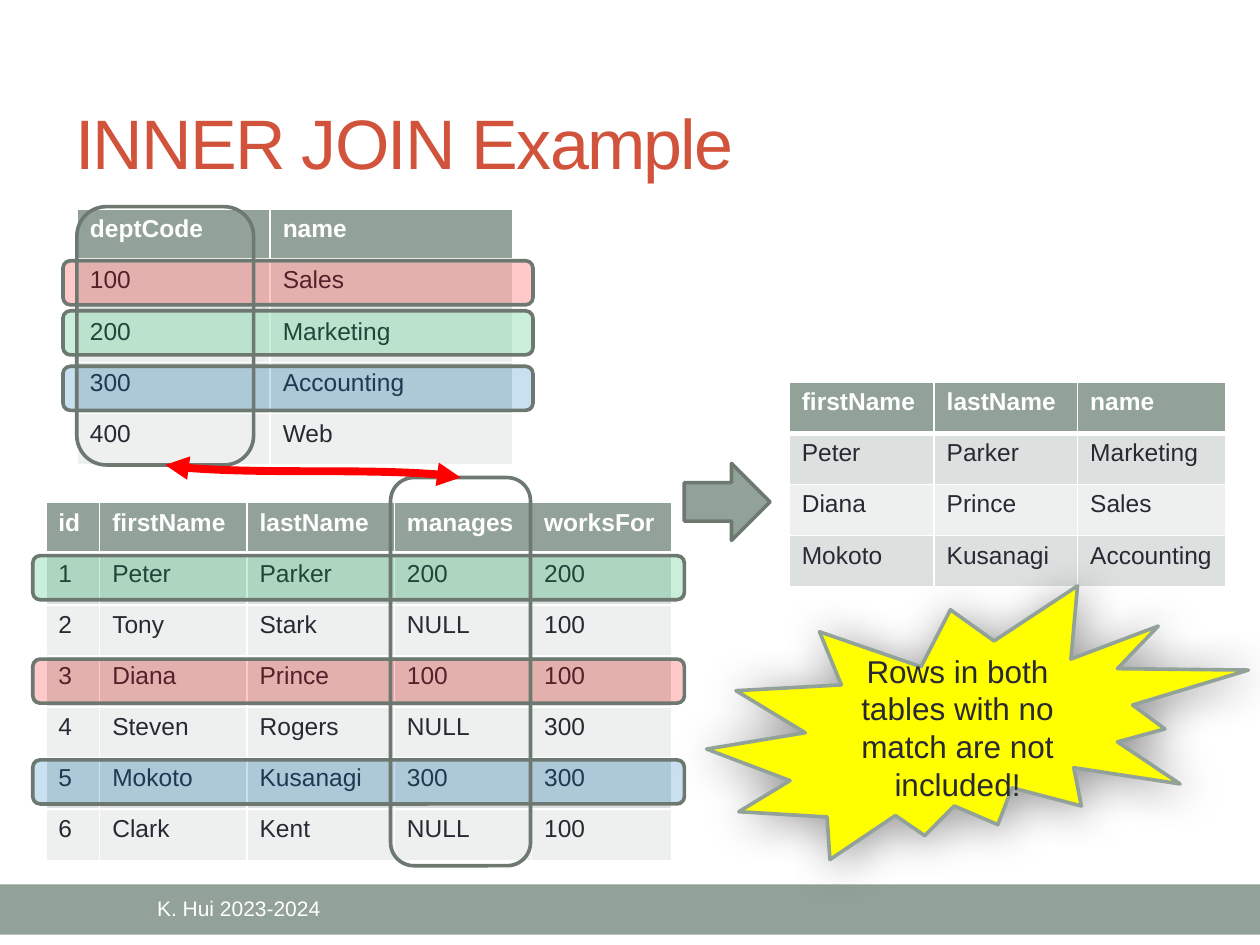
from pptx import Presentation
from pptx.dml.color import RGBColor
from pptx.enum.shapes import MSO_CONNECTOR, MSO_SHAPE
from pptx.enum.text import MSO_ANCHOR, PP_ALIGN
from pptx.oxml import parse_xml
from pptx.oxml.ns import nsdecls
from pptx.util import Pt

SAGE, DARK_SAGE, INK, WHITE = "93A299", "6D7871", "292934", "FFFFFF"
BANDS = ("EEF0EF", "DCE0DE")


def rgb(value):
    return RGBColor.from_string(value)


def xml(tag, attrs="", inner=""):
    return parse_xml(f'<a:{tag} {nsdecls("a")} {attrs}>{inner}</a:{tag}>')


def color_xml(color, alpha=100):
    return f'<a:srgbClr val="{color}"><a:alpha val="{alpha * 1000}"/></a:srgbClr>'


class Deck:
    """Draws styled elements on the current slide, with lengths in points."""

    font = "Arial"
    outline = 2.08

    def __init__(self, width, height):
        self.prs = Presentation()
        self.prs.slide_width, self.prs.slide_height = Pt(width), Pt(height)
        self.s = self.prs.slides.add_slide(self.prs.slide_layouts[6])

    def set_text(self, tf, text, size, color, align=PP_ALIGN.LEFT, bold=False):
        tf.word_wrap = True
        tf.text = text
        p = tf.paragraphs[0]
        p.alignment = align
        r = p.runs[0]
        r.font.name, r.font.size, r.font.bold = self.font, Pt(size), bold
        r.font.color.rgb = rgb(color)
        return r

    def text(self, box, text, size, color, align=PP_ALIGN.LEFT, spacing=0):
        tf = self.s.shapes.add_textbox(*map(Pt, box)).text_frame
        tf.vertical_anchor = MSO_ANCHOR.MIDDLE
        r = self.set_text(tf, text, size, color, align)
        if spacing:
            r.font._element.set("spc", str(spacing * 100))

    def shape(self, kind, box, fill=None, line=None, alpha=100):
        sp = self.s.shapes.add_shape(kind, *map(Pt, box))
        sp.shadow.inherit = False
        if fill:
            sp.fill.solid()
            sp.fill.fore_color.rgb = rgb(fill)
            if alpha < 100:
                clr = sp._element.spPr.find(".//{*}solidFill/{*}srgbClr")
                clr.append(xml("alpha", f'val="{alpha * 1000}"'))
        else:
            sp.fill.background()
        if line:
            sp.line.color.rgb = rgb(line)
            sp.line.width = Pt(self.outline)
        else:
            sp.line.fill.background()
        return sp

    def callout(self, kind, box, text, fill, line):
        sp = self.shape(kind, box, fill, line)
        shadow = xml("outerShdw", f'blurRad="{Pt(26)}" dist="{Pt(3)}" dir="2700000" rotWithShape="0"',
                     color_xml("000000", 40))
        sp._element.spPr.find("{*}effectLst").append(shadow)
        sp.text_frame.vertical_anchor = MSO_ANCHOR.MIDDLE
        self.set_text(sp.text_frame, text, 18, INK, PP_ALIGN.CENTER)

    def table(self, left, top, widths, rows, row_height=29.2):
        frame = self.s.shapes.add_table(len(rows), len(widths), Pt(left), Pt(top),
                                        Pt(sum(widths)), Pt(row_height * len(rows)))
        table = frame.table
        for column, width in zip(table.columns, widths):
            column.width = Pt(width)
        for i, row in enumerate(rows):
            table.rows[i].height = Pt(row_height)
            for j, value in enumerate(row):
                self.cell(table.cell(i, j), value, i)

    def cell(self, cell, value, row):
        header = row == 0
        self.set_text(cell.text_frame, value, 14, WHITE if header else INK, bold=header)
        tc_pr = cell._tc.get_or_add_tcPr()
        for side in "LRTB":
            width = 3 if (side, row) in (("B", 0), ("T", 1)) else 1
            tc_pr.append(xml(f"ln{side}", f'w="{Pt(width)}"',
                             f"<a:solidFill>{color_xml(WHITE)}</a:solidFill>"))
        cell.fill.solid()
        cell.fill.fore_color.rgb = rgb(SAGE if header else BANDS[row % 2])

    def curved_link(self, upper, lower, color, width):
        x1, y1 = upper.left + upper.width // 2, upper.top + upper.height
        x2, y2 = lower.left + lower.width // 2, lower.top
        link = self.s.shapes.add_connector(MSO_CONNECTOR.CURVE, x1, y1, x2, y2)
        link.begin_connect(upper, 2)
        link.end_connect(lower, 0)
        link.width, link.height = y2 - y1, x2 - x1
        link.left = (x1 + x2 - link.width) // 2
        link.top = (y1 + y2 - link.height) // 2
        xfrm = link._element.spPr.find("{*}xfrm")
        xfrm.set("rot", str(270 * 60000))
        xfrm.set("flipH", "1")
        link.line.color.rgb = rgb(color)
        link.line.width = Pt(width)
        ln = link._element.spPr.find("{*}ln")
        for end in ("headEnd", "tailEnd"):
            ln.append(xml(end, 'type="triangle"'))
        link._element.spPr.append(xml("effectLst"))


def main():
    deck = Deck(720, 540)
    deck.shape(MSO_SHAPE.RECTANGLE, (0, 505.4, 720, 28.8), SAGE)
    deck.text((36, 41.8, 648, 77.8), "INNER JOIN Example", 40, "D2533C", spacing=-1)
    deck.text((36, 506.2, 200.9, 25.9), "K. Hui 2023-2024", 12, WHITE, PP_ALIGN.CENTER)

    deck.table(44.2, 119.6, (110.2, 138.8), [
        ("deptCode", "name"),
        ("100", "Sales"),
        ("200", "Marketing"),
        ("300", "Accounting"),
        ("400", "Web"),
    ])
    deck.table(26.2, 287.2, (30.8, 84.2, 84.2, 78.4, 80), [
        ("id", "firstName", "lastName", "manages", "worksFor"),
        ("1", "Peter", "Parker", "200", "200"),
        ("2", "Tony", "Stark", "NULL", "100"),
        ("3", "Diana", "Prince", "100", "100"),
        ("4", "Steven", "Rogers", "NULL", "300"),
        ("5", "Mokoto", "Kusanagi", "300", "300"),
        ("6", "Clark", "Kent", "NULL", "100"),
    ])

    matches = (("FF0000", 149, 376.6), ("00B050", 177.6, 317.5), ("0070C0", 209.3, 434.2))
    for color, dept_top, staff_top in matches:
        for left, top, width in ((36, dept_top, 268.6), (18.7, staff_top, 372.4)):
            deck.shape(MSO_SHAPE.ROUNDED_RECTANGLE, (left, top, width, 25.2),
                       color, DARK_SAGE, 21)

    manages, dept_code = [
        deck.shape(MSO_SHAPE.ROUNDED_RECTANGLE, box, line=DARK_SAGE)
        for box in ((223.2, 272.9, 80, 221.8), (43.9, 118.1, 101, 147.6))
    ]
    deck.curved_link(dept_code, manages, "FF0000", 4.5)

    deck.table(451, 218.4, (82.8, 82, 84.4), [
        ("firstName", "lastName", "name"),
        ("Peter", "Parker", "Marketing"),
        ("Diana", "Prince", "Sales"),
        ("Mokoto", "Kusanagi", "Accounting"),
    ])
    deck.shape(MSO_SHAPE.RIGHT_ARROW, (391, 264.8, 49, 44), SAGE, DARK_SAGE)
    deck.callout(MSO_SHAPE.EXPLOSION2, (403.8, 334.8, 309.6, 156.4),
                 "Rows in both tables with no match are not included!", "FFFF00", SAGE)
    deck.prs.save("out.pptx")


if __name__ == "__main__":
    main()
